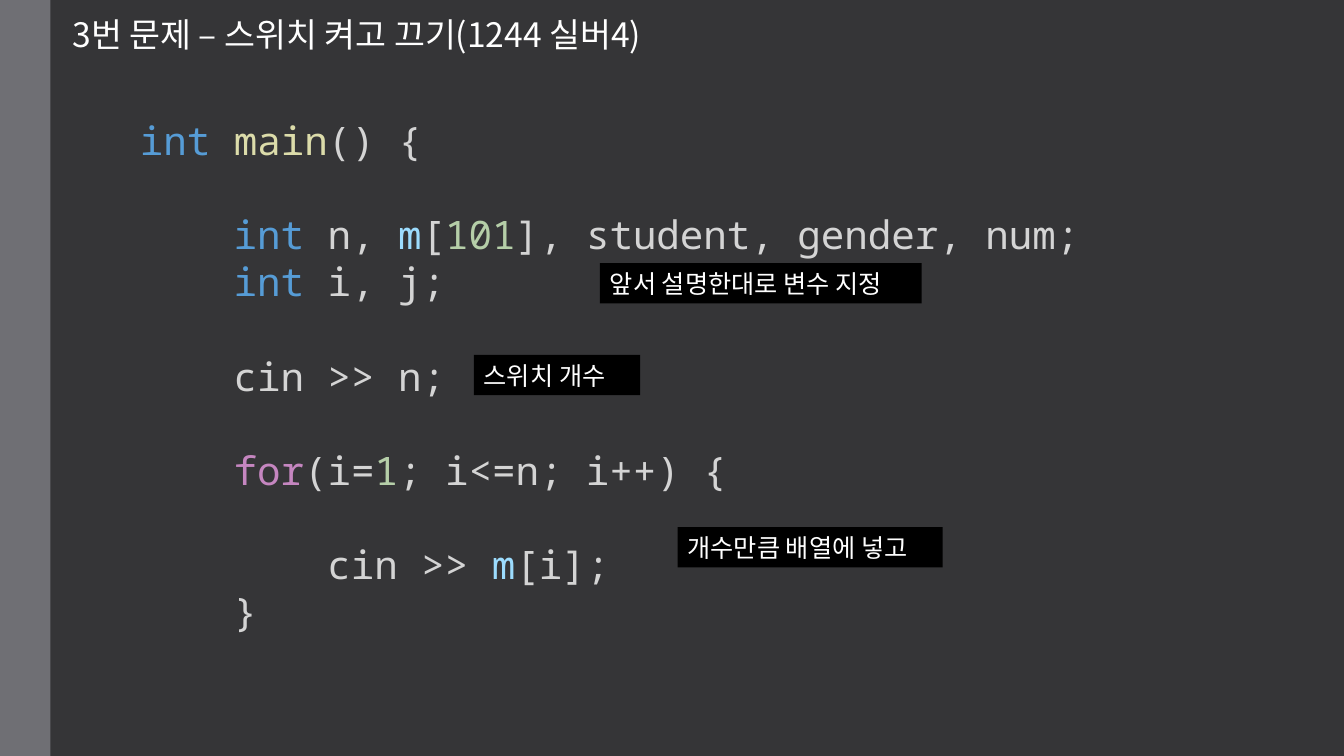
"""Build the slide that walks through the start of the switch problem's code."""
from pptx import Presentation
from pptx.dml.color import RGBColor
from pptx.enum.shapes import MSO_SHAPE
from pptx.enum.text import MSO_ANCHOR, PP_ALIGN
from pptx.oxml.ns import qn
from pptx.util import Inches, Pt
from lxml.etree import SubElement

BACKGROUND = RGBColor(0x35, 0x35, 0x37)
SIDEBAR = RGBColor(0x6F, 0x6F, 0x74)
BLACK = RGBColor(0x00, 0x00, 0x00)
WHITE = RGBColor(0xFF, 0xFF, 0xFF)
TYPE = RGBColor(0x56, 0x9C, 0xD6)
FUNCTION = RGBColor(0xDC, 0xDC, 0xAA)
PLAIN = RGBColor(0xD4, 0xD4, 0xD4)
ARRAY = RGBColor(0x9C, 0xDC, 0xFE)
NUMBER = RGBColor(0xB5, 0xCE, 0xA8)
KEYWORD = RGBColor(0xC5, 0x86, 0xC0)

KOREAN_FONT = "Noto Sans CJK KR"
CODE_FONT = "Noto Sans Mono"
LINE_HEIGHT = Pt(33.7)
CODE_INDENT = Inches(0.93)


def add_span(para, text, font, size, color):
    span = para.add_run()
    span.text = text
    span.font.name = font
    span.font.size = Pt(size)
    span.font.color.rgb = color
    SubElement(span.font._element, qn("a:ea")).set("typeface", font)


def add_block(left, top, width, height, color):
    block = page.shapes.add_shape(
        MSO_SHAPE.RECTANGLE, Inches(left), Inches(top), Inches(width), Inches(height))
    block.shadow.inherit = False
    block.fill.solid()
    block.fill.fore_color.rgb = color
    block.line.fill.background()
    return block


deck = Presentation()
deck.slide_width = Inches(13.33)
deck.slide_height = Inches(7.5)
page = deck.slides.add_slide(deck.slide_layouts[6])
page.background.fill.solid()
page.background.fill.fore_color.rgb = BACKGROUND
add_block(0, 0, 0.5, 7.5, SIDEBAR)

title = page.shapes.add_textbox(Inches(0.62), Inches(0.09), Inches(7.23), Inches(0.5))
title.text_frame.word_wrap = True
title.text_frame.vertical_anchor = MSO_ANCHOR.MIDDLE
add_span(title.text_frame.paragraphs[0], "3번 문제 – 스위치 켜고 끄기(1244 실버4)",
         KOREAN_FONT, 24, WHITE)

# Each line: indent level, blank lines above, coloured pieces.
code_lines = [
    (0, 0, [("int ", TYPE), ("main", FUNCTION), ("() {", PLAIN)]),
    (1, 1, [("int", TYPE), (" n, ", PLAIN), ("m", ARRAY), ("[", PLAIN),
            ("101", NUMBER), ("], student, gender, num;", PLAIN)]),
    (1, 0, [("int ", TYPE), ("i, j;", PLAIN)]),
    (1, 1, [("cin >> n;", PLAIN)]),
    (1, 1, [("for", KEYWORD), ("(i=", PLAIN), ("1", NUMBER), ("; i<=n; i++) {", PLAIN)]),
    (2, 1, [("cin >> ", PLAIN), ("m", ARRAY), ("[i];", PLAIN)]),
    (1, 0, [("}", PLAIN)]),
]
code = page.shapes.add_textbox(Inches(1.29), Inches(1.1), Inches(10), Inches(5.76))
code.text_frame.word_wrap = True
for index, (level, blanks, pieces) in enumerate(code_lines):
    para = code.text_frame.add_paragraph() if index else code.text_frame.paragraphs[0]
    para.line_spacing = LINE_HEIGHT
    para.space_before = LINE_HEIGHT * blanks
    para._p.get_or_add_pPr().set("marL", str(CODE_INDENT * level))
    for text, color in pieces:
        add_span(para, text, CODE_FONT, 28, color)

notes = [
    (5.95, 2.61, 3.19, "앞서 설명한대로 변수 지정"),
    (4.7, 3.52, 1.65, "스위치 개수"),
    (6.72, 5.23, 2.63, "개수만큼 배열에 넣고"),
]
for left, top, width, text in notes:
    note = add_block(left, top, width, 0.4, BLACK)
    note.text_frame.word_wrap = True
    note.text_frame.vertical_anchor = MSO_ANCHOR.MIDDLE
    para = note.text_frame.paragraphs[0]
    para.alignment = PP_ALIGN.LEFT
    add_span(para, text, KOREAN_FONT, 18, WHITE)

deck.save("out.pptx")
